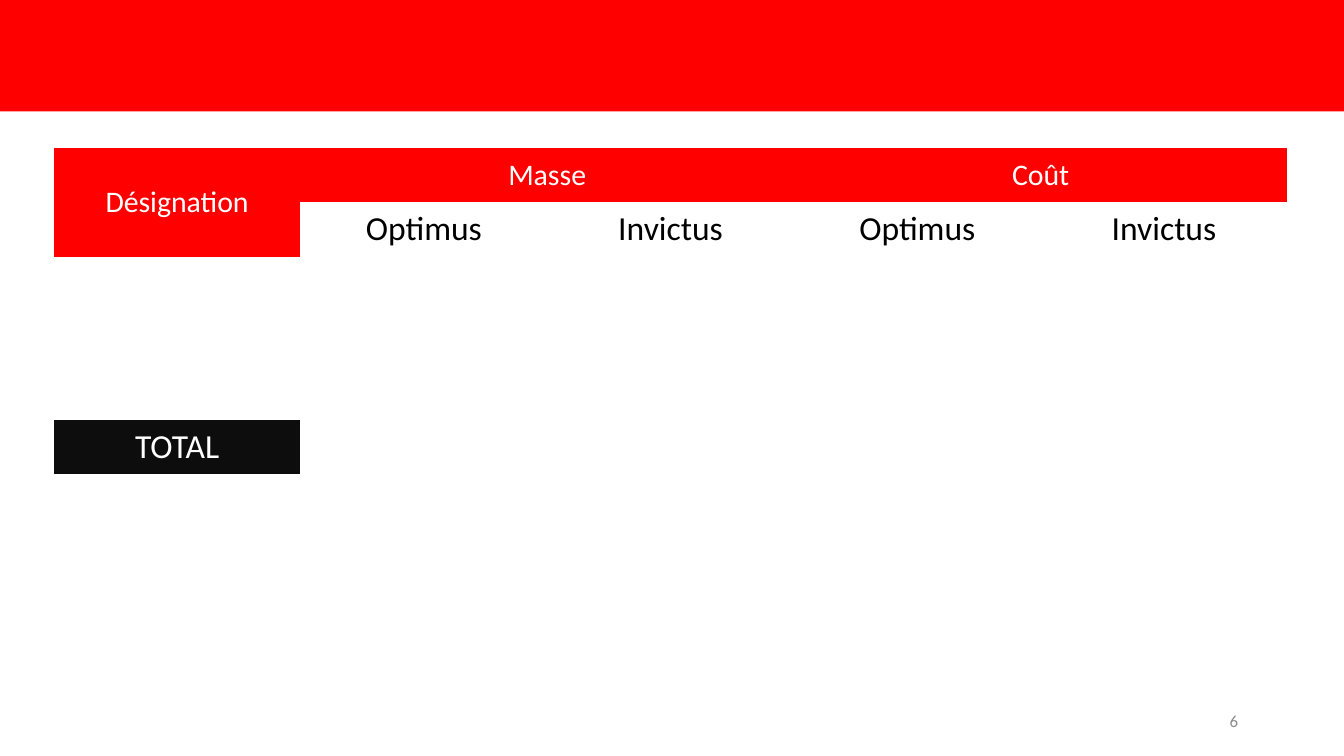
from dataclasses import dataclass

import pptx
import pptx.dml.color
import pptx.enum.shapes
import pptx.enum.text
import pptx.oxml.ns
import pptx.util

Inches = pptx.util.Inches
RGBColor = pptx.dml.color.RGBColor
PP_ALIGN = pptx.enum.text.PP_ALIGN
MIDDLE = pptx.enum.text.MSO_ANCHOR.MIDDLE

RED = RGBColor(0xFF, 0x00, 0x00)
WHITE = RGBColor(0xFF, 0xFF, 0xFF)
BLACK = RGBColor(0x00, 0x00, 0x00)
NEAR_BLACK = RGBColor(0x0D, 0x0D, 0x0D)
GREY = RGBColor(0x8C, 0x8C, 0x8C)

FONT = "Calibri"
SLIDE_WIDTH = Inches(10)
SLIDE_HEIGHT = SLIDE_WIDTH * 9 // 16
ROWS, COLUMNS = 6, 5
TABLE_WIDTH, TABLE_HEIGHT = Inches(9.18), Inches(2.43)
PLAIN_TABLE_STYLE = "{2D5ABB26-0587-4C30-8999-92F81FD0307C}"


@dataclass(frozen=True)
class Label:
    row: int
    column: int
    text: str
    size: int = 18
    color: RGBColor = BLACK
    fill: RGBColor | None = None
    row_span: int = 1
    column_span: int = 1


LABELS = [
    Label(0, 0, "Désignation", 16, WHITE, RED, row_span=2),
    Label(0, 1, "Masse", 16, WHITE, RED, column_span=2),
    Label(0, 3, "Coût", 16, WHITE, RED, column_span=2),
    *(Label(1, column, model)
      for column, model in enumerate(["Optimus", "Invictus"] * 2, start=1)),
    Label(5, 0, "TOTAL", color=WHITE, fill=NEAR_BLACK),
]


def write(frame, text: str, size: int, color: RGBColor, align) -> None:
    paragraph = frame.paragraphs[0]
    paragraph.alignment = align
    run = paragraph.add_run()
    run.text = text
    run.font.name = FONT
    run.font.size = pptx.util.Pt(size)
    run.font.color.rgb = color


def add_banner(slide) -> None:
    banner = slide.shapes.add_shape(
        pptx.enum.shapes.MSO_SHAPE.RECTANGLE, 0, 0, SLIDE_WIDTH, Inches(0.83))
    banner.shadow.inherit = False
    banner.fill.solid()
    banner.fill.fore_color.rgb = RED
    banner.line.fill.background()


def add_page_number(slide, number: int) -> None:
    page_number = slide.shapes.add_textbox(
        Inches(7.06), Inches(5.21), Inches(2.25), Inches(0.3))
    frame = page_number.text_frame
    frame.word_wrap = True
    frame.vertical_anchor = MIDDLE
    write(frame, str(number), 9, GREY, PP_ALIGN.RIGHT)


def add_label(table, label: Label) -> None:
    cell = table.cell(label.row, label.column)
    if label.row_span > 1 or label.column_span > 1:
        cell.merge(table.cell(label.row + label.row_span - 1,
                              label.column + label.column_span - 1))
    if label.fill is not None:
        cell.fill.solid()
        cell.fill.fore_color.rgb = label.fill
    cell.vertical_anchor = MIDDLE
    write(cell.text_frame, label.text, label.size, label.color, PP_ALIGN.CENTER)


def add_comparison(slide) -> None:
    comparison = slide.shapes.add_table(
        ROWS, COLUMNS, Inches(0.4), Inches(1.1), TABLE_WIDTH, TABLE_HEIGHT)
    style = comparison.element.find(".//" + pptx.oxml.ns.qn("a:tableStyleId"))
    style.text = PLAIN_TABLE_STYLE
    table = comparison.table
    table.first_row = False
    table.horz_banding = False
    for cell in table.iter_cells():
        cell.fill.background()
    for label in LABELS:
        add_label(table, label)


def main() -> None:
    presentation = pptx.Presentation()
    presentation.slide_width = SLIDE_WIDTH
    presentation.slide_height = SLIDE_HEIGHT
    slide = presentation.slides.add_slide(presentation.slide_layouts[6])
    add_banner(slide)
    add_page_number(slide, 6)
    add_comparison(slide)
    presentation.save("out.pptx")


if __name__ == "__main__":
    main()
